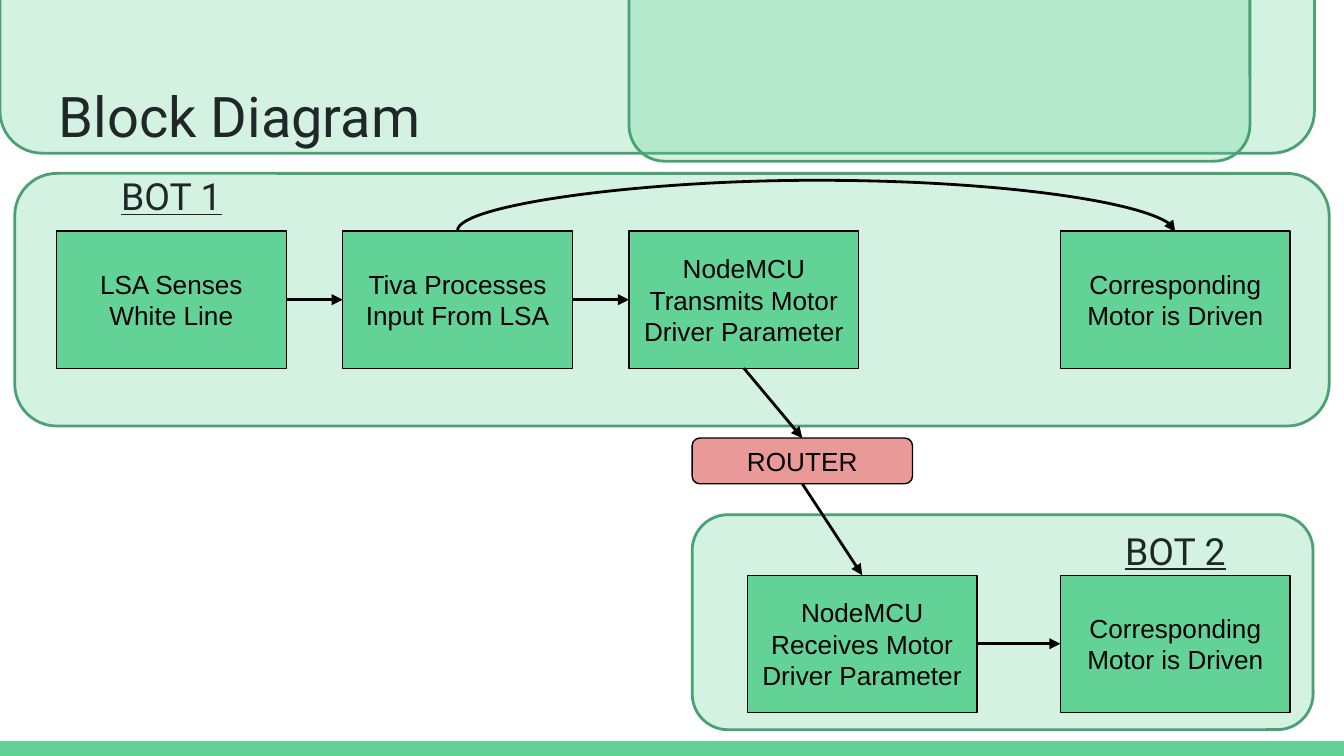
from dataclasses import dataclass

import pptx
import pptx.dml.color
import pptx.enum.shapes
import pptx.enum.text
import pptx.oxml.ns
import pptx.util
from lxml import etree

SHAPE = pptx.enum.shapes.MSO_SHAPE
LINK = pptx.enum.shapes.MSO_CONNECTOR
ALIGN = pptx.enum.text.PP_ALIGN
ANCHOR = pptx.enum.text.MSO_ANCHOR
TOP, LEFT, BOTTOM, RIGHT = range(4)


@dataclass(frozen=True)
class Theme:
    green: str = "63D297"
    edge: str = "4BA173"
    router: str = "EA9999"
    ink: str = "202729"
    black: str = "000000"
    heading_font: str = "Roboto"
    body_font: str = "Arial"
    title_size: int = 30
    label_size: int = 20
    body_size: int = 14
    thick: float = 1.5
    thin: float = 0.75
    panel_alpha: int = 27


T = Theme()
W = 10
H = W * 9 / 16
NODE_W, NODE_H = 1.71, 1.02
LABEL_H = 0.63
NODE_PITCH = 2.13


def inches(*values):
    return [pptx.util.Inches(v) for v in values]


def rgb(value):
    return pptx.dml.color.RGBColor.from_string(value)


def add_xml(parent, tag, **attrs):
    return etree.SubElement(parent, pptx.oxml.ns.qn(tag), attrs)


def write(sp, text, font, size, color, align, anchor, underline=None):
    tf = sp.text_frame
    tf.word_wrap = True
    tf.margin_left = tf.margin_right = tf.margin_top = tf.margin_bottom = pptx.util.Inches(0.1)
    tf.vertical_anchor = anchor
    tf.text = text
    p = tf.paragraphs[0]
    p.alignment = align
    f = p.runs[0].font
    f.name, f.size, f.underline = font, pptx.util.Pt(size), underline
    f.color.rgb = rgb(color)


def add_box(slide, kind, box, fill, line=None, width=0):
    sp = slide.shapes.add_shape(kind, *inches(*box))
    sp.shadow.inherit = False
    sp.fill.solid()
    sp.fill.fore_color.rgb = rgb(fill)
    if line:
        sp.line.color.rgb = rgb(line)
        sp.line.width = pptx.util.Pt(width)
    else:
        sp.line.fill.background()
    return sp


def add_panel(slide, box):
    sp = add_box(slide, SHAPE.ROUNDED_RECTANGLE, box, T.green, T.edge, T.thick)
    color = sp._element.spPr.find(".//" + pptx.oxml.ns.qn("a:srgbClr"))
    add_xml(color, "a:alpha", val=str(T.panel_alpha * 1000))


def add_node(slide, kind, box, text, fill):
    sp = add_box(slide, kind, box, fill, T.black, T.thin)
    write(sp, text, T.body_font, T.body_size, T.black, ALIGN.CENTER, ANCHOR.MIDDLE)
    return sp


def add_heading(slide, box, text, size, align, underline=None):
    sp = slide.shapes.add_textbox(*inches(*box))
    write(sp, text, T.heading_font, size, T.ink, align, ANCHOR.TOP, underline)


def style_arrow(line):
    line.line.color.rgb = rgb(T.black)
    line.line.width = pptx.util.Pt(T.thick)
    add_xml(line.line._get_or_add_ln(), "a:tailEnd", type="triangle")
    add_xml(line._element.spPr, "a:effectLst")


def add_arrow(slide, start, start_side, end, end_side):
    line = slide.shapes.add_connector(LINK.STRAIGHT, 0, 0, 0, 0)
    line.begin_connect(start, start_side)
    line.end_connect(end, end_side)
    style_arrow(line)


def add_arc(slide, start, end, rise):
    """Curved arrow over the tops of two nodes: a flat curve turned on its side."""
    x1, x2 = (sp.left + sp.width // 2 for sp in (start, end))
    span, depth = x2 - x1, pptx.util.Inches(0.01)
    left, top = (x1 + x2 - depth) // 2, start.top - span // 2
    line = slide.shapes.add_connector(LINK.CURVE, left, top, left + depth, top + span)
    line.rotation = 270
    line._element.spPr.find(pptx.oxml.ns.qn("a:xfrm")).set("flipH", "1")
    guides = line._element.spPr.prstGeom.get_or_add_avLst()
    ratio = round(-rise / 0.01 * 100000)
    add_xml(guides, "a:gd", name="adj1", fmla=f"val {ratio}")
    style_arrow(line)


def add_header(slide, box, title):
    x, y, w, h = box
    add_panel(slide, box)
    add_panel(slide, (x + 4.68, y + 0.34, 4.62, 1.6))
    add_heading(slide, (x + 0.34, y + h - LABEL_H, W - 0.68, LABEL_H), title,
                T.title_size, ALIGN.LEFT)


def add_bot(slide, box, row, steps, label, label_col, label_rise):
    """Panel with nodes in one row; steps are (left offset, text)."""
    x, y = box[:2]
    add_panel(slide, box)
    nodes = [add_node(slide, SHAPE.RECTANGLE, (x + dx, y + row, NODE_W, NODE_H), text, T.green)
             for dx, text in steps]
    add_heading(slide, (x + steps[label_col][0], y + row - label_rise, NODE_W, LABEL_H),
                label, T.label_size, ALIGN.CENTER, True)
    return nodes


def build_slide(slide):
    # Footer bar and header
    add_box(slide, SHAPE.RECTANGLE, (0, H - 0.11, W, 0.11), T.green)
    add_header(slide, (0, -0.74, 9.78, 1.88), "Block Diagram")

    # Two bots and the router between them
    driven = "Corresponding Motor is Driven"
    first = ["LSA Senses White Line", "Tiva Processes Input From LSA",
             "NodeMCU Transmits Motor Driver Parameter"]
    steps = [(0.31 + i * NODE_PITCH, text) for i, text in enumerate(first)]
    sense, process, send, drive_1 = add_bot(
        slide, (0.11, 1.29, 9.78, 1.88), 0.43, steps + [(7.78, driven)], "BOT 1", 0, 0.53)
    receive, drive_2 = add_bot(
        slide, (5.15, 3.83, 4.62, 1.6), 0.45,
        [(0.41, "NodeMCU Receives Motor Driver Parameter"), (2.74, driven)], "BOT 2", 1, 0.45)
    router = add_node(slide, SHAPE.ROUNDED_RECTANGLE, (5.15, 3.26, 1.64, 0.34),
                      "ROUTER", T.router)

    # Signal flow
    for link in ((sense, RIGHT, process, LEFT), (process, RIGHT, send, LEFT),
                 (send, BOTTOM, router, TOP), (router, BOTTOM, receive, TOP),
                 (receive, RIGHT, drive_2, LEFT)):
        add_arrow(slide, *link)
    add_arc(slide, process, drive_1, 0.38)


def main():
    prs = pptx.Presentation()
    prs.slide_width, prs.slide_height = inches(W, H)
    build_slide(prs.slides.add_slide(prs.slide_layouts[6]))
    prs.save("out.pptx")


if __name__ == "__main__":
    main()
